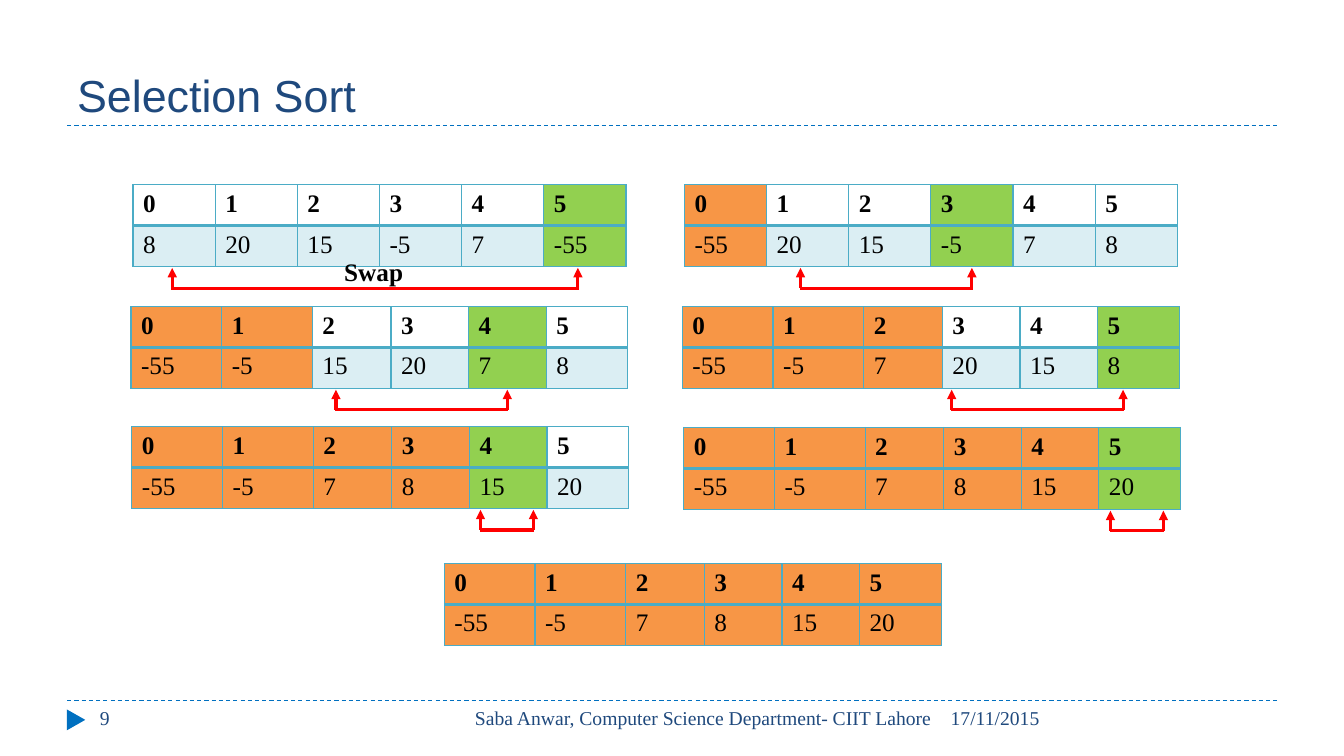
from dataclasses import dataclass
from typing import Optional

from lxml import etree
from pptx import Presentation
from pptx.dml.color import RGBColor
from pptx.enum.dml import MSO_LINE
from pptx.enum.shapes import MSO_CONNECTOR, MSO_SHAPE
from pptx.enum.text import MSO_ANCHOR, MSO_AUTO_SIZE, PP_ALIGN
from pptx.oxml.ns import qn
from pptx.util import Inches, Length, Pt

STRAIGHT = MSO_CONNECTOR.STRAIGHT
TRIANGLE = MSO_SHAPE.ISOSCELES_TRIANGLE
DASH = MSO_LINE.DASH
TOP, BOTTOM = MSO_ANCHOR.TOP, MSO_ANCHOR.BOTTOM
LEFT, RIGHT = PP_ALIGN.LEFT, PP_ALIGN.RIGHT
FIT_SHAPE = MSO_AUTO_SIZE.SHAPE_TO_FIT_TEXT

NAVY = RGBColor(0x1F, 0x49, 0x7D)
BLUE = RGBColor(0x00, 0x70, 0xC0)
TEAL = RGBColor(0x4B, 0xAC, 0xC6)
ORANGE = RGBColor(0xF7, 0x96, 0x46)
GREEN = RGBColor(0x92, 0xD0, 0x50)
RED = RGBColor(0xFF, 0x00, 0x00)
BLACK = RGBColor(0x00, 0x00, 0x00)

SANS, SERIF = "Arial", "Times New Roman"

GRID_COLUMNS = 160
SLIDE_WIDTH, SLIDE_HEIGHT = Inches(13.333), Inches(7.5)
MARGIN = 8
TITLE_RULE, FOOTER_RULE = 15, 83.4
FOOTER_HEIGHT = 4.8
CELL_HEIGHT = 4.86
EVEN_WIDTHS = (9.78,) * 6
UNEVEN_WIDTHS = (10.8, 10.8, 9.36, 9.24, 9.24, 9.72)
BRACKET_DROP, ARROW_HEIGHT = 12.3, 2.4


@dataclass(frozen=True)
class SortStep:
    left: float
    top: float
    values: tuple[int, ...]
    sorted_count: int
    minimum: Optional[int] = None
    swap: Optional[tuple[float, float]] = None
    widths: tuple[float, ...] = UNEVEN_WIDTHS


@dataclass(frozen=True)
class Label:
    text: str
    box: tuple[float, float, float, float]
    font: str = SERIF
    size: float = 14
    color: RGBColor = NAVY
    bold: bool = False
    align: PP_ALIGN = LEFT
    anchor: MSO_ANCHOR = TOP
    wrap: bool = True


STEPS = (
    SortStep(15.84, 22, (8, 20, 15, -5, 7, -55), 0, 5, (20.5, 68.8), EVEN_WIDTHS),
    SortStep(81.48, 22, (-55, 20, 15, -5, 7, 8), 1, 3, (95.3, 115.7), EVEN_WIDTHS),
    SortStep(15.6, 36.5, (-55, -5, 15, 20, 7, 8), 2, 4, (40, 60.4)),
    SortStep(81.24, 36.5, (-55, -5, 7, 20, 15, 8), 3, 5, (113.3, 133.7)),
    SortStep(15.7, 50.8, (-55, -5, 7, 8, 15, 20), 4, 4, (57.2, 63.5)),
    SortStep(81.4, 50.9, (-55, -5, 7, 8, 15, 20), 5, 5, (132.2, 138.5)),
    SortStep(52.9, 67.1, (-55, -5, 7, 8, 15, 20), 6),
)

LABELS = (
    Label("Selection Sort", (MARGIN, 2, 144, 13), SANS, 32, anchor=BOTTOM),
    Label("17/11/2015", (112, FOOTER_RULE, 40, FOOTER_HEIGHT)),
    Label("Saba Anwar, Computer Science Department- CIIT Lahore",
          (50.8, FOOTER_RULE, 61.3, FOOTER_HEIGHT), align=RIGHT),
    Label("9", (10.7, FOOTER_RULE, 34.7, FOOTER_HEIGHT)),
    Label("Swap", (39.8, 29.9, 9.5, 4.8), size=18, color=BLACK, bold=True, wrap=False),
)


def grid(units: float) -> Length:
    return Length(round(units * SLIDE_WIDTH / GRID_COLUMNS))


def write_text(frame, text: str, *, font: str = SERIF, size: float = 18,
               color: RGBColor = BLACK, bold: bool = False,
               align: PP_ALIGN = LEFT) -> None:
    paragraph = frame.paragraphs[0]
    paragraph.alignment = align
    run = paragraph.add_run()
    run.text = text
    run.font.name = font
    run.font.size = Pt(size)
    run.font.color.rgb = color
    run.font.bold = bold


def draw_label(slide, label: Label) -> None:
    frame = slide.shapes.add_textbox(*map(grid, label.box)).text_frame
    frame.word_wrap = label.wrap
    frame.vertical_anchor = label.anchor
    if not label.wrap:
        frame.auto_size = FIT_SHAPE
    write_text(frame, label.text, font=label.font, size=label.size,
               color=label.color, bold=label.bold, align=label.align)


def draw_line(shapes, start: tuple[float, float], end: tuple[float, float],
              color: RGBColor, width: float, *, dashed: bool = False,
              arrow: bool = False) -> None:
    connector = shapes.add_connector(STRAIGHT, *map(grid, start + end))
    connector.line.color.rgb = color
    connector.line.width = Pt(width)
    if dashed:
        connector.line.dash_style = DASH
    properties = connector._element.spPr
    if arrow:
        etree.SubElement(properties.find(qn("a:ln")), qn("a:tailEnd"), type="triangle")
    etree.SubElement(properties, qn("a:effectLst"))


def set_borders(cell, bottom: float) -> None:
    properties = cell._tc.get_or_add_tcPr()
    for side, width in (("L", 1), ("R", 1), ("T", 1), ("B", bottom)):
        border = etree.SubElement(properties, qn(f"a:ln{side}"), w=str(Pt(width)))
        fill = etree.SubElement(border, qn("a:solidFill"))
        etree.SubElement(fill, qn("a:srgbClr"), val=str(TEAL))


def fill_cell(cell, color: RGBColor, opacity: int = 100) -> None:
    cell.fill.solid()
    cell.fill.fore_color.rgb = color
    if opacity < 100:
        tint = cell._tc.tcPr.find(qn("a:solidFill")).find(qn("a:srgbClr"))
        etree.SubElement(tint, qn("a:alpha"), val=str(opacity * 1000))


def draw_array(slide, step: SortStep) -> None:
    array = slide.shapes.add_table(
        2, len(step.values), grid(step.left), grid(step.top),
        grid(sum(step.widths)), grid(2 * CELL_HEIGHT)).table
    array.first_row = False
    array.horz_banding = False
    for row in array.rows:
        row.height = grid(CELL_HEIGHT)
    for index, (value, width) in enumerate(zip(step.values, step.widths)):
        array.columns[index].width = grid(width)
        for row_index, entry in enumerate((index, value)):
            cell = array.cell(row_index, index)
            is_header = row_index == 0
            write_text(cell.text_frame, str(entry), bold=is_header)
            set_borders(cell, bottom=2 if is_header else 1)
            if index == step.minimum:
                fill_cell(cell, GREEN)
            elif index < step.sorted_count:
                fill_cell(cell, ORANGE)
            elif is_header:
                cell.fill.background()
            else:
                fill_cell(cell, TEAL, opacity=20)


def draw_swap(slide, step: SortStep) -> None:
    bracket = slide.shapes.add_group_shape().shapes
    first, last = step.swap
    base = step.top + BRACKET_DROP
    draw_line(bracket, (first - 0.1, base), (last + 0.1, base), RED, 2.25)
    for end in (last, first):
        draw_line(bracket, (end, base), (end, base - ARROW_HEIGHT), RED, 2.25, arrow=True)


def draw_footer_marker(slide) -> None:
    marker = slide.shapes.add_shape(TRIANGLE, *map(grid, (7.8, 84.6, 2.5, 2.2)))
    marker.rotation = 90
    marker.shadow.inherit = False
    marker.fill.solid()
    marker.fill.fore_color.rgb = BLUE
    marker.line.fill.background()


def main() -> None:
    deck = Presentation()
    deck.slide_width, deck.slide_height = SLIDE_WIDTH, SLIDE_HEIGHT
    slide = deck.slides.add_slide(deck.slide_layouts[6])
    for height in (FOOTER_RULE, TITLE_RULE):
        draw_line(slide.shapes, (MARGIN, height), (GRID_COLUMNS - MARGIN, height),
                  BLUE, 0.75, dashed=True)
    draw_footer_marker(slide)
    for step in STEPS:
        draw_array(slide, step)
    for step in STEPS:
        if step.swap:
            draw_swap(slide, step)
    for label in LABELS:
        draw_label(slide, label)
    deck.save("out.pptx")


if __name__ == "__main__":
    main()
